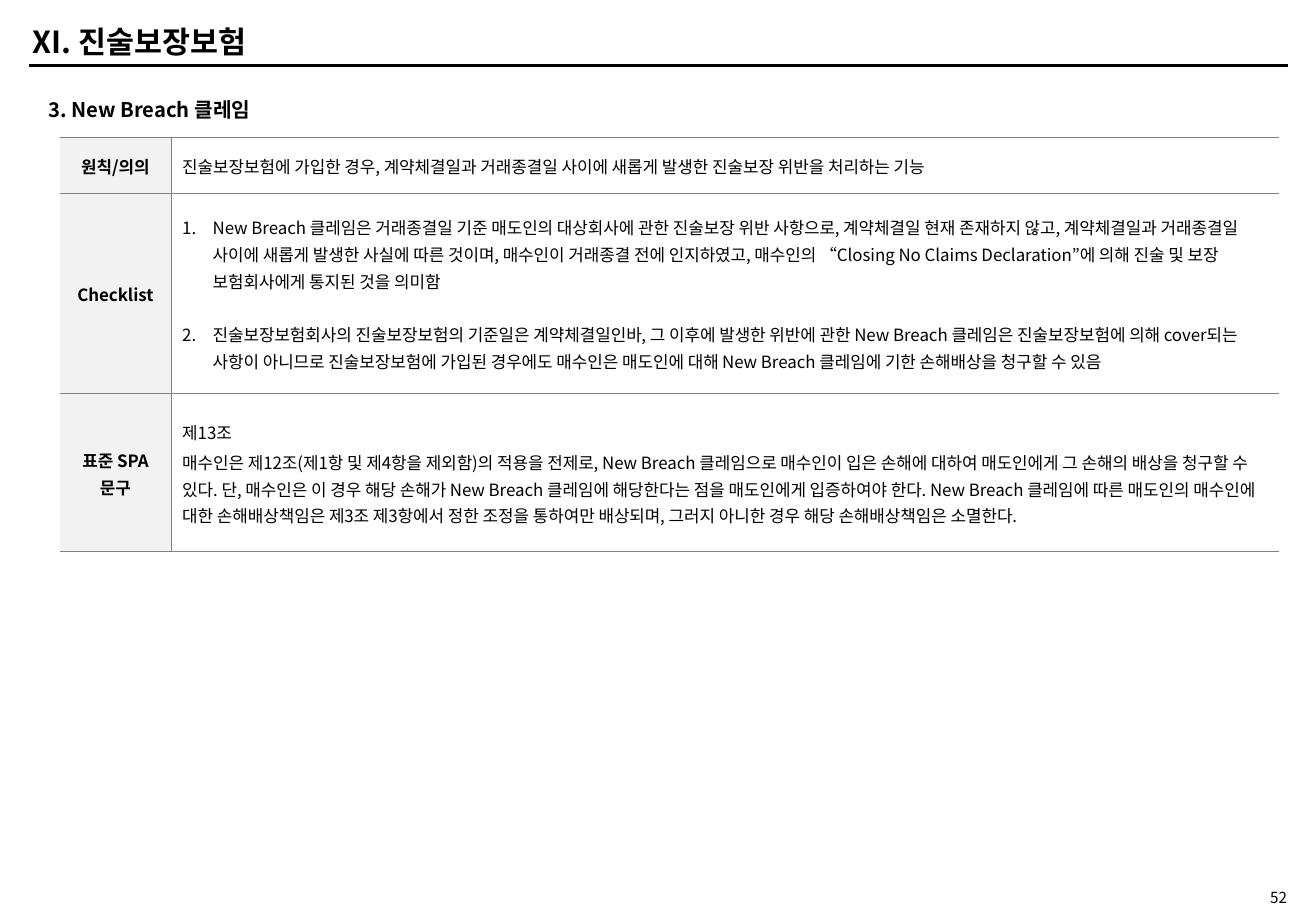
from lxml import etree
from pptx import Presentation
from pptx.dml.color import RGBColor
from pptx.enum.shapes import MSO_CONNECTOR
from pptx.enum.text import MSO_ANCHOR as Anchor, PP_ALIGN as Align
from pptx.oxml.ns import qn
from pptx.util import Inches, Pt

FONT = "Noto Sans CJK KR"
COLORS = {"ink": "000000", "rule": "808080", "label": "F2F2F2"}
COLUMN_WIDTHS = (0.92, 9.12)

# Label, paragraphs, row height, numbered list or not, space between paragraphs
ROWS = [
    ("원칙/의의",
     ["진술보장보험에 가입한 경우, 계약체결일과 거래종결일 사이에 새롭게 발생한 진술보장 위반을 처리하는 기능"],
     0.46, False, 0),
    ("Checklist",
     ["New Breach 클레임은 거래종결일 기준 매도인의 대상회사에 관한 진술보장 위반 사항으로, "
      "계약체결일 현재 존재하지 않고, 계약체결일과 거래종결일 사이에 새롭게 발생한 사실에 따른 것이며, "
      "매수인이 거래종결 전에 인지하였고, 매수인의 “Closing No Claims Declaration”에 의해 "
      "진술 및 보장 보험회사에게 통지된 것을 의미함",
      "진술보장보험회사의 진술보장보험의 기준일은 계약체결일인바, 그 이후에 발생한 위반에 관한 "
      "New Breach 클레임은 진술보장보험에 의해 cover되는 사항이 아니므로 진술보장보험에 가입된 경우에도 "
      "매수인은 매도인에 대해 New Breach 클레임에 기한 손해배상을 청구할 수 있음"],
     1.65, True, 16),
    ("표준 SPA 문구",
     ["제13조",
      "매수인은 제12조(제1항 및 제4항을 제외함)의 적용을 전제로, New Breach 클레임으로 매수인이 입은 "
      "손해에 대하여 매도인에게 그 손해의 배상을 청구할 수 있다. 단, 매수인은 이 경우 해당 손해가 "
      "New Breach 클레임에 해당한다는 점을 매도인에게 입증하여야 한다. New Breach 클레임에 따른 "
      "매도인의 매수인에 대한 손해배상책임은 제3조 제3항에서 정한 조정을 통하여만 배상되며, "
      "그러지 아니한 경우 해당 손해배상책임은 소멸한다."],
     1.3, False, 2),
]


def color(name):
    return RGBColor.from_string(COLORS[name])


def add_text(para, text, size, bold=False, align=Align.LEFT):
    para.alignment = align
    span = para.add_run()
    span.text = text
    font = span.font
    font.size, font.bold, font.name = Pt(size), bold, FONT
    font.color.rgb = color("ink")
    east_asian = etree.SubElement(font._element, qn("a:ea"))
    east_asian.set("typeface", FONT)


def place(shape, left, top, width, height):
    shape.left, shape.top = Inches(left), Inches(top)
    shape.width, shape.height = Inches(width), Inches(height)


def set_margins(frame, side, end):
    frame.margin_left = frame.margin_right = Inches(side)
    frame.margin_top = frame.margin_bottom = Inches(end)


def add_heading(page, left, top, width, height):
    title = page.shapes.title
    place(title, left, top, width, height)
    frame = title.text_frame
    frame.vertical_anchor = Anchor.MIDDLE
    set_margins(frame, 0.1, 0.05)
    add_text(frame.paragraphs[0], "XI. 진술보장보험", 18, True)

    rule_y = Inches(top + height + 0.01)
    rule = page.shapes.add_connector(
        MSO_CONNECTOR.STRAIGHT, Inches(left + 0.07), rule_y, Inches(10.6), rule_y)
    rule.line.color.rgb = color("ink")
    rule.line.width = Pt(2)
    etree.SubElement(rule._element.spPr, qn("a:effectLst"))


def add_label(page, text, size, bold, align, box, end_margin, anchor):
    label = page.shapes.add_textbox(*map(Inches, box))
    frame = label.text_frame
    frame.word_wrap = True
    frame.vertical_anchor = anchor
    set_margins(frame, 0.1, end_margin)
    add_text(frame.paragraphs[0], text, size, bold, align)


def set_borders(cell, widths):
    """Draw the left, right, top and bottom borders; a width of 0 means none."""
    properties = cell._tc.get_or_add_tcPr()
    for side, width in zip("LRTB", widths):
        line = etree.SubElement(properties, qn(f"a:ln{side}"), w=str(Pt(width)))
        if width:
            fill = etree.SubElement(line, qn("a:solidFill"))
            etree.SubElement(fill, qn("a:srgbClr"), val=COLORS["rule"])
        else:
            etree.SubElement(line, qn("a:noFill"))


def number_paragraph(para):
    properties = para._p.get_or_add_pPr()
    properties.set("marL", str(Inches(0.25)))
    properties.set("indent", str(Inches(-0.25)))
    etree.SubElement(properties, qn("a:buFont"), typeface=FONT)
    etree.SubElement(properties, qn("a:buAutoNum"), type="arabicPeriod")


def fill_cell(cell, texts, is_label, numbered=False, gap=0):
    cell.vertical_anchor = Anchor.MIDDLE
    set_margins(cell, 0.07 if is_label else 0.09, 0 if is_label else 0.05)
    if is_label:
        cell.fill.solid()
        cell.fill.fore_color.rgb = color("label")
    else:
        cell.fill.background()
    frame = cell.text_frame
    for index, text in enumerate(texts):
        para = frame.add_paragraph() if index else frame.paragraphs[0]
        para.line_spacing = 1.1
        if index:
            para.space_before = Pt(gap)
        if numbered:
            number_paragraph(para)
        add_text(para, text, 10, is_label, Align.CENTER if is_label else Align.LEFT)


def add_claim_table(page, left, top):
    width, height = sum(COLUMN_WIDTHS), sum(row[2] for row in ROWS)
    table = page.shapes.add_table(
        len(ROWS), len(COLUMN_WIDTHS),
        Inches(left), Inches(top), Inches(width), Inches(height)).table
    table.first_row = table.horz_banding = False
    for column, column_width in zip(table.columns, COLUMN_WIDTHS):
        column.width = Inches(column_width)
    for index, (label, texts, row_height, numbered, gap) in enumerate(ROWS):
        table.rows[index].height = Inches(row_height)
        label_cell, text_cell = table.cell(index, 0), table.cell(index, 1)
        above = 1 if index == 0 else 0.75
        below = 1 if index == len(ROWS) - 1 else 0.75
        set_borders(label_cell, (0, 0.75, above, below))
        set_borders(text_cell, (0.75, 0, above, below))
        fill_cell(label_cell, [label], True)
        fill_cell(text_cell, texts, False, numbered, gap)


def main():
    deck = Presentation()
    deck.slide_width, deck.slide_height = Inches(10.83), Inches(7.5)
    page = deck.slides.add_slide(deck.slide_layouts[5])
    add_heading(page, 0.17, 0.15, 3.28, 0.38)
    add_label(page, "3. New Breach 클레임", 12, True, Align.LEFT,
              (0.3, 0.75, 8.18, 0.3), 0.05, Anchor.TOP)
    add_claim_table(page, 0.49, 1.13)
    add_label(page, "52", 9, False, Align.RIGHT,
              (9.75, 7.31, 0.94, 0.15), 0, Anchor.MIDDLE)
    deck.save("out.pptx")


if __name__ == "__main__":
    main()
